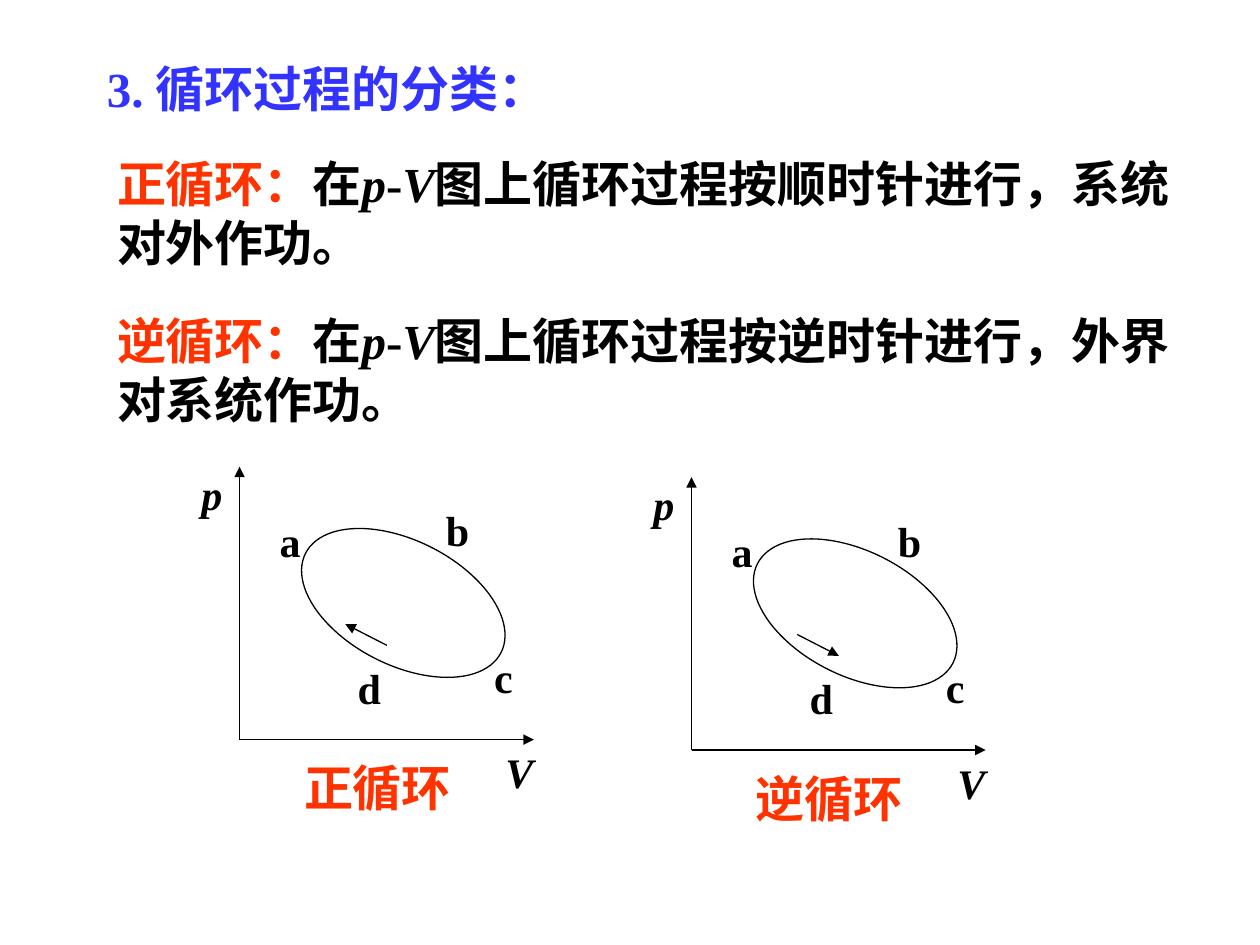
from dataclasses import dataclass

import pptx
import pptx.dml.color
import pptx.enum.shapes
import pptx.enum.text
import pptx.oxml.ns
import pptx.util
from lxml import etree
from pptx.util import Cm

LATIN, HAN = "Times New Roman", "Noto Sans CJK SC"
BLUE, RED, BLACK = "3333FF", "FF3300", "000000"


@dataclass
class Label:
    text: str
    x: float
    y: float
    w: float
    italic: bool = False


@dataclass
class Cycle:
    name: str
    x: float
    y: float
    clock: bool


@dataclass
class Rule:
    head: str
    body: str
    y: float
    w: float


# Label places are measured from the corner of the axes
LABELS = [
    Label("p", -1.02, -5.59, 0.91, True),
    Label("V", 5.11, 0.02, 1.07, True),
    Label("a", 0.56, -4.65, 0.91),
    Label("b", 3.91, -4.86, 0.97),
    Label("c", 4.88, -1.9, 0.89),
    Label("d", 2.13, -1.68, 0.97),
]
CYCLES = [
    Cycle("正循环", 4.83, 14.91, True),
    Cycle("逆循环", 13.94, 15.12, False),
]
RULES = [
    Rule("正循环：", "图上循环过程按顺时针进行，系统对外作功。", 2.97, 22.23),
    Rule("逆循环：", "图上循环过程按逆时针进行，外界对系统作功。", 6.14, 22.43),
]


def color(code: str) -> pptx.dml.color.RGBColor:
    return pptx.dml.color.RGBColor.from_string(code)


def child(node, tag: str, **attrs: str) -> None:
    etree.SubElement(node, pptx.oxml.ns.qn(tag), **attrs)


def write(para, text: str, *, size: float = 28, ink: str = BLACK,
          face: str = LATIN, italic: bool = False) -> None:
    run = para.add_run()
    run.text = text
    font = run.font
    font.size, font.bold, font.italic = pptx.util.Pt(size), True, italic
    font.color.rgb = color(ink)
    font.name = face
    child(run._r.get_or_add_rPr(), "a:ea", typeface=HAN)


def box(shapes, x: float, y: float, w: float, h: float, wrap: bool = False):
    frame = shapes.add_textbox(Cm(x), Cm(y), Cm(w), Cm(h)).text_frame
    frame.word_wrap = wrap
    frame.auto_size = pptx.enum.text.MSO_AUTO_SIZE.SHAPE_TO_FIT_TEXT
    return frame.paragraphs[0]


def arrow(shapes, x1: float, y1: float, x2: float, y2: float) -> None:
    line = shapes.add_connector(pptx.enum.shapes.MSO_CONNECTOR.STRAIGHT,
                                Cm(x1), Cm(y1), Cm(x2), Cm(y2))
    line.line.color.rgb = color(BLACK)
    line.line.width = pptx.util.Pt(0.75)
    child(line.line._get_or_add_ln(), "a:tailEnd", type="triangle")
    child(line._element.spPr, "a:effectLst")


def draw(slide, cycle: Cycle) -> None:
    shapes = slide.shapes.add_group_shape().shapes
    x, y = cycle.x, cycle.y

    # Axes
    arrow(shapes, x, y, x + 5.93, y)
    arrow(shapes, x, y, x, y - 5.5)

    # Closed path and its sense
    loop = shapes.add_shape(pptx.enum.shapes.MSO_SHAPE.OVAL,
                            Cm(x + 1.09), Cm(y - 4.01), Cm(4.42), Cm(2.51))
    loop.rotation = 26.9
    loop.shadow.inherit = False
    loop.fill.background()
    loop.line.color.rgb = color(BLACK)
    loop.line.width = pptx.util.Pt(0.75)
    low, high = (x + 2.97, y - 1.9), (x + 2.13, y - 2.33)
    ends = low + high if cycle.clock else high + low
    arrow(shapes, *ends)

    # Labels and caption
    for label in LABELS:
        para = box(shapes, x + label.x, y + label.y, label.w, 1.27)
        write(para, label.text, size=24, italic=label.italic)
    write(box(shapes, x + 1.05, y + 0.24, 3.5, 1.45), cycle.name, ink=RED)


def main() -> None:
    deck = pptx.Presentation()
    deck.slide_width, deck.slide_height = Cm(25.4), Cm(19.05)
    slide = deck.slides.add_slide(deck.slide_layouts[5])

    # Title
    title = slide.shapes.title
    title.left, title.top = Cm(1.9), Cm(1.06)
    title.width, title.height = Cm(12.27), Cm(1.45)
    frame = title.text_frame
    frame.auto_size = pptx.enum.text.MSO_AUTO_SIZE.NONE
    frame.vertical_anchor = pptx.enum.text.MSO_ANCHOR.TOP
    para = frame.paragraphs[0]
    para.alignment = pptx.enum.text.PP_ALIGN.LEFT
    write(para, "3. 循环过程的分类：", ink=BLUE)

    # Definitions
    for rule in RULES:
        para = box(slide.shapes, 2.11, rule.y, rule.w, 2.64, wrap=True)
        write(para, rule.head, ink=RED, face=HAN)
        write(para, "在", face=HAN)
        write(para, "p", italic=True)
        write(para, "-")
        write(para, "V", italic=True)
        write(para, rule.body, face=HAN)

    # Diagrams
    for cycle in CYCLES:
        draw(slide, cycle)

    deck.save("out.pptx")


if __name__ == "__main__":
    main()
